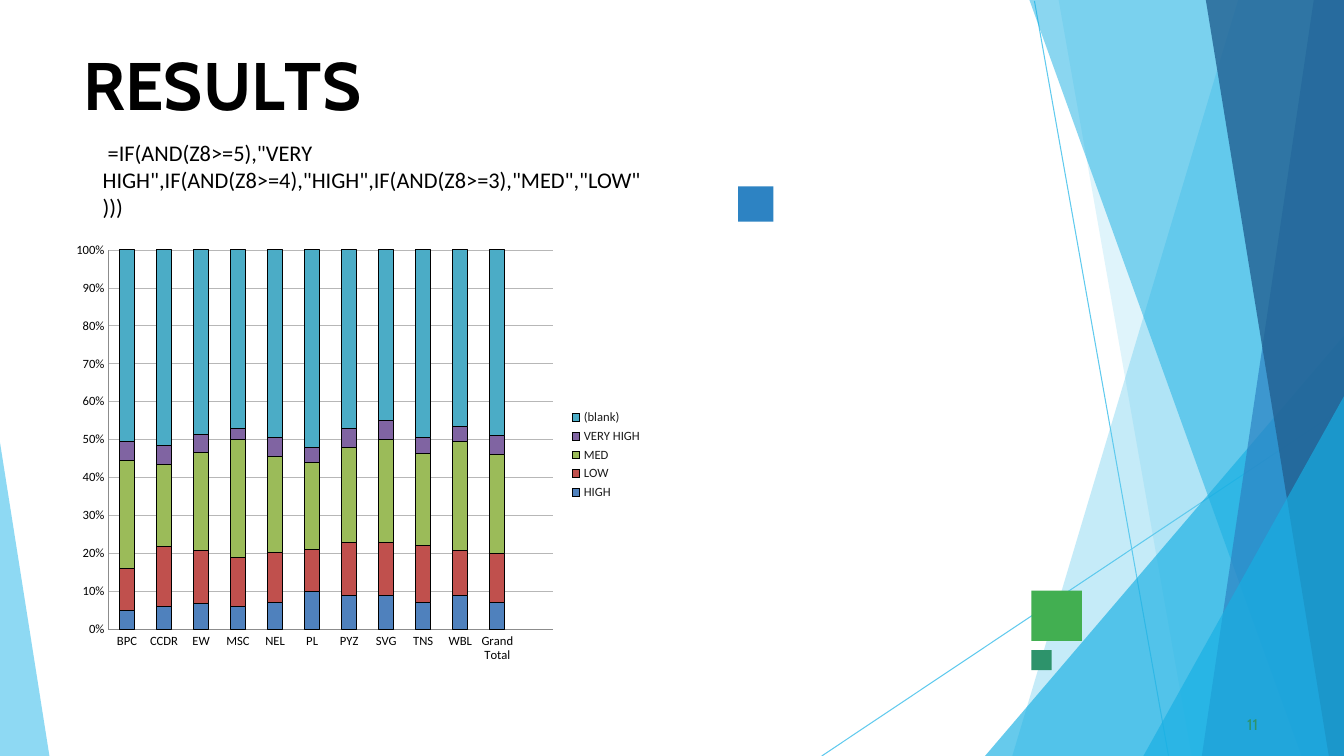
from lxml import etree
from pptx import Presentation
from pptx.chart.data import CategoryChartData
from pptx.dml.color import RGBColor
from pptx.enum.chart import XL_CHART_TYPE, XL_LEGEND_POSITION, XL_TICK_MARK
from pptx.enum.shapes import MSO_CONNECTOR, MSO_SHAPE
from pptx.enum.text import MSO_ANCHOR, MSO_AUTO_SIZE, PP_ALIGN
from pptx.oxml import parse_xml
from pptx.oxml.ns import nsdecls, qn
from pptx.util import Pt

PX = 9144
STACKED = XL_CHART_TYPE.COLUMN_STACKED_100
LEGEND_RIGHT = XL_LEGEND_POSITION.RIGHT
NO_TICK = XL_TICK_MARK.NONE
STRAIGHT = MSO_CONNECTOR.STRAIGHT
RECTANGLE = MSO_SHAPE.RECTANGLE
TOP = MSO_ANCHOR.TOP
LEFT = PP_ALIGN.LEFT
GROW = MSO_AUTO_SIZE.SHAPE_TO_FIT_TEXT


def color(value):
    return RGBColor.from_string(value)


def style_font(font, name, size, value):
    font.name = name
    font.size = Pt(size)
    font.color.rgb = color(value)


deck = Presentation()
deck.slide_width = 1333 * PX
deck.slide_height = 750 * PX
page = deck.slides.add_slide(deck.slide_layouts[5])
shapes = page.shapes

for ends in [(1026, 1, 1159, 750), (1333, 404, 815, 750)]:
    line = shapes.add_connector(STRAIGHT, *[value * PX for value in ends])
    line.line.color.rgb = color("5FCAEE")
    line.line.width = Pt(0.75)
    etree.SubElement(line._element.spPr, qn("a:effectLst"))

facets = [
    ("5FCAEE", 36, [(1333, 0), (1228, 0), (1004, 750), (1333, 750)]),
    ("5FCAEE", 20, [(1333, 0), (1050, 0), (1182, 750), (1333, 750)]),
    ("17AFE3", 66, [(1333, 333), (977, 750), (1333, 750)]),
    ("17AFE3", 50, [(1333, 0), (1021, 0), (1291, 750), (1333, 750)]),
    ("2D83C3", 70, [(1333, 0), (1303, 0), (1192, 750), (1333, 750)]),
    ("226192", 80, [(1333, 0), (1196, 0), (1318, 750), (1333, 750)]),
    ("17AFE3", 66, [(1333, 393), (1134, 750), (1333, 750)]),
    ("5FCAEE", 70, [(0, 439), (0, 750), (49, 750)]),
]
for fill, opacity, points in facets:
    outline = shapes.build_freeform(*points[0], scale=PX)
    outline.add_line_segments(points[1:], close=True)
    facet = outline.convert_to_shape()
    facet.shadow.inherit = False
    facet.fill.solid()
    facet.fill.fore_color.rgb = color(fill)
    facet.line.fill.background()
    tint = facet._element.spPr.find(".//" + qn("a:srgbClr"))
    etree.SubElement(tint, qn("a:alpha")).set("val", str(opacity * 1000))

squares = [("42AF51", 1023, 586, 50), ("2D83C3", 732, 185, 35), ("2D936B", 1023, 645, 20)]
for fill, left, top, side in squares:
    square = shapes.add_shape(RECTANGLE, left * PX, top * PX, side * PX, side * PX)
    square.shadow.inherit = False
    square.fill.solid()
    square.fill.fore_color.rgb = color(fill)
    square.line.fill.background()

title = shapes.title
title.left, title.top, title.width, title.height = 83 * PX, 42 * PX, 1168 * PX, 83 * PX
number = shapes.add_textbox(1233 * PX, 708 * PX, 25 * PX, 21 * PX)
formula = shapes.add_textbox(92 * PX, 133 * PX, 556 * PX, 91 * PX)

for box in (title, number):
    frame = box.text_frame
    frame.margin_left = frame.margin_right = frame.margin_bottom = 0
    frame.margin_top = PX
number.text_frame.margin_left = 4 * PX

for box, font_name, size, value in [
    (title, "Cabin", 48, "000000"),
    (number, "Cabin", 11, "2D936B"),
    (formula, "Calibri", 16, "000000"),
]:
    frame = box.text_frame
    frame.word_wrap = True
    frame.auto_size = GROW
    frame.vertical_anchor = TOP
    para = frame.paragraphs[0]
    para.alignment = LEFT
    style_font(para.font, font_name, size, value)

heading = title.text_frame.paragraphs[0]
heading.font.bold = True
heading.space_before = Pt(1)
letters = [("R", 0), ("E", -40), ("S", 10), ("U", -30), ("L", -400), ("TS", 0)]
for text, spacing in letters:
    span = heading.add_run()
    span.text = text
    span._r.get_or_add_rPr().set("spc", str(spacing))

number.text_frame.paragraphs[0].add_run().text = "11"
formula.text_frame.paragraphs[0].add_run().text = (
    ' =IF(AND(Z8>=5),"VERY HIGH",IF(AND(Z8>=4),"HIGH",IF(AND(Z8>=3),"MED","LOW")))'
)

ratings = [
    ("HIGH", "4F81BD", [5, 6, 7, 6, 7, 10, 9, 9, 7, 9, 7, None]),
    ("LOW", "C0504D", [11, 16, 14, 13, 13, 11, 14, 14, 15, 12, 13, None]),
    ("MED", "9BBB59", [28, 22, 26, 31, 25, 23, 25, 27, 24, 29, 26, None]),
    ("VERY HIGH", "8064A2", [5, 5, 5, 3, 5, 4, 5, 5, 4, 4, 5, None]),
    ("(blank)", "4BACC6", [50, 52, 49, 47, 49, 52, 47, 45, 49, 47, 49, None]),
]
data = CategoryChartData()
data.categories = [
    "BPC", "CCDR", "EW", "MSC", "NEL", "PL", "PYZ", "SVG", "TNS", "WBL", "Grand Total", "",
]
for name, fill, values in ratings:
    data.add_series(name, values)
chart = shapes.add_chart(STACKED, 67 * PX, 235 * PX, 580 * PX, 433 * PX, data).chart
style_font(chart.font, "Calibri", 10, "000000")
chart.has_title = False
chart.has_legend = True
chart.legend.position = LEGEND_RIGHT
chart.legend.include_in_layout = False
style_font(chart.legend.font, "Calibri", 9, "1A1A1A")

plot = chart.plots[0]
plot.gap_width = 150
plot.overlap = 100
plot.vary_by_categories = False
for series, (name, fill, values) in zip(plot.series, ratings):
    series.format.fill.solid()
    series.format.fill.fore_color.rgb = color(fill)
    series.format.line.color.rgb = color("000000")
    series.format.line.width = Pt(0.75)

for axis in (chart.category_axis, chart.value_axis):
    axis.major_tick_mark = axis.minor_tick_mark = NO_TICK
    style_font(axis.tick_labels.font, "Calibri", 9, "000000")
    axis.format.line.color.rgb = color("8C8C8C")
    axis.format.line.width = Pt(0.5)
chart.value_axis.tick_labels.number_format = "0%"
chart.value_axis.tick_labels.number_format_is_linked = False
grid = chart.value_axis.major_gridlines.format.line
grid.color.rgb = color("B7B7B7")
grid.width = Pt(0.5)

plot_area = chart._chartSpace.find(".//" + qn("c:plotArea"))
for old in plot_area.findall(qn("c:layout")):
    plot_area.remove(old)
plot_area.insert(0, parse_xml(
    f"<c:layout {nsdecls('c')}><c:manualLayout>"
    '<c:layoutTarget val="inner"/><c:xMode val="edge"/><c:yMode val="edge"/>'
    '<c:x val="0.07"/><c:y val="0.03"/><c:w val="0.76"/><c:h val="0.87"/>'
    "</c:manualLayout></c:layout>"
))

deck.save("out.pptx")
